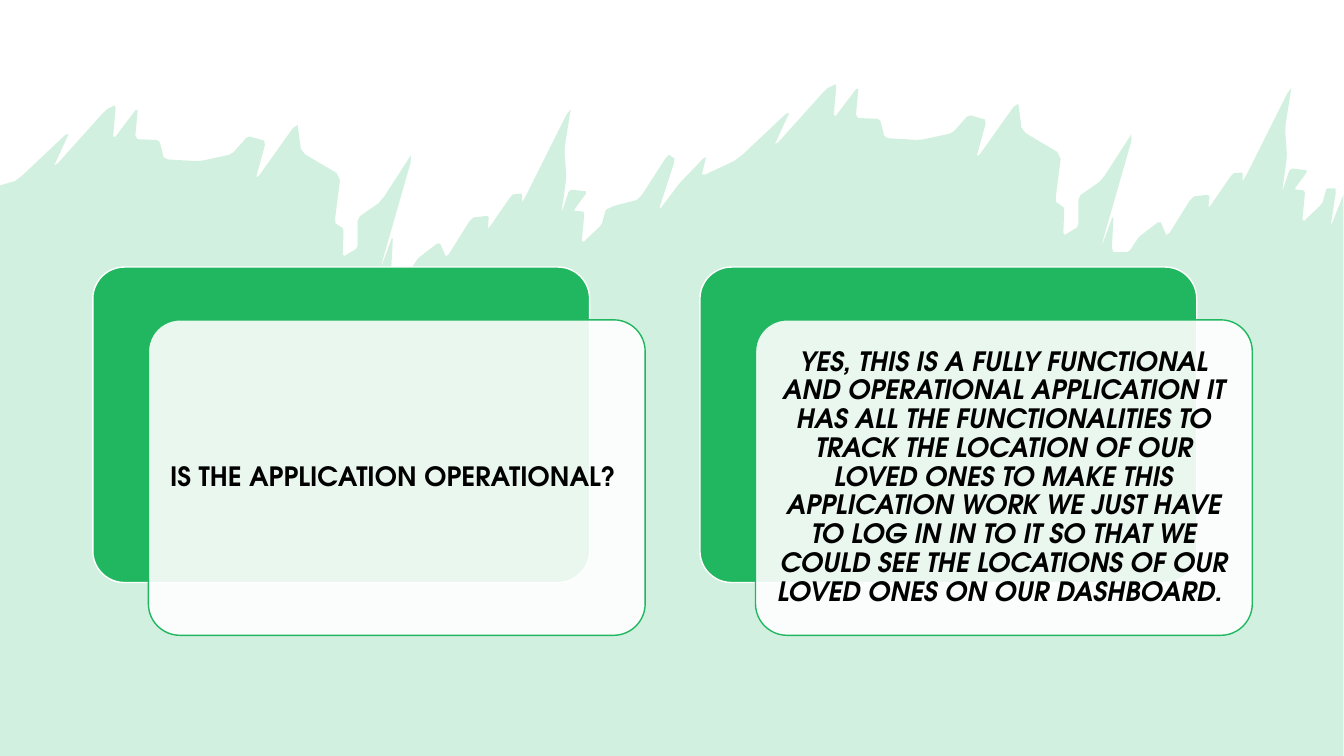
from lxml import etree
from pptx import Presentation
from pptx.dml.color import RGBColor
from pptx.enum.shapes import MSO_SHAPE as Shape
from pptx.enum.text import MSO_ANCHOR as Anchor, PP_ALIGN as Align
from pptx.oxml.ns import qn
from pptx.util import Cm, Pt

GREEN = RGBColor(0x21, 0xB7, 0x60)
WHITE = RGBColor(0xFF, 0xFF, 0xFF)
BLACK = RGBColor(0x00, 0x00, 0x00)
INCH = Cm(2.54)

# Corners of the torn edge, in inches
SPLASH = [
    (7.32, 1.58), (7.85, 1.08), (7.67, 1.47), (8.2, 0.88), (8.3, 0.83),
    (8.27, 1.18), (8.52, 0.85), (8.49, 1.17), (8.73, 1.18), (8.78, 1.37),
    (9.13, 1.39), (9.45, 1.32), (9.61, 1.14), (9.79, 1.19), (9.68, 1.59),
    (10.1, 1.0), (10.14, 1.3), (10.53, 1.53), (10.47, 2.0), (10.56, 2.06),
    (10.55, 2.34), (10.7, 2.25), (10.7, 1.95), (10.93, 1.79), (11.26, 1.28),
    (10.91, 2.5), (11.05, 2.12), (11.03, 2.5), (11.2, 2.5), (11.3, 2.35),
    (11.51, 2.19), (11.58, 2.35), (11.83, 1.95), (12.0, 1.93), (11.99, 2.07),
    (12.23, 1.72), (12.33, 1.71), (12.33, 1.81), (12.82, 0.83), (12.75, 1.27),
    (12.77, 1.55), (12.72, 1.91), (12.8, 1.67), (12.98, 1.69), (12.84, 1.88),
    (12.95, 1.89), (12.92, 2.21), (13.12, 2.02), (13.16, 1.87),
]
MIDDLE = [
    (6.1, 2.04), (6.34, 1.98), (6.63, 1.53), (6.7, 1.58), (6.53, 2.1),
    (6.74, 1.82), (7.01, 1.54), (6.96, 1.75),
]
RIGHT_END = [(13.26, 1.87), (13.2, 2.26), (13.33, 1.93)]
SHIFT_X, SHIFT_Y = -7.15, 0.21
CORNER_CUT = 0.1

CARDS = [
    ("IS THE APPLICATION OPERATIONAL? ", False),
    ("YES, THIS IS A FULLY FUNCTIONAL AND OPERATIONAL APPLICATION IT HAS ALL THE "
     "FUNCTIONALITIES TO TRACK THE LOCATION OF OUR LOVED ONES TO MAKE THIS "
     "APPLICATION WORK WE JUST HAVE TO LOG IN IN TO IT SO THAT WE COULD SEE THE "
     "LOCATIONS OF OUR LOVED ONES ON OUR DASHBOARD. ", True),
]
CARD_LEFT, CARD_TOP = 2.34, 6.73
CARD_WIDTH, CARD_HEIGHT = 12.52, 7.95
CARD_PITCH = 15.3
FRONT_RIGHT, FRONT_DOWN = 1.4, 1.33


def paint(shape, color, opacity=100):
    """Fill a shape with one colour at the given opacity in percent."""
    shape.shadow.inherit = False
    shape.fill.solid()
    shape.fill.fore_color.rgb = color
    if opacity < 100:
        color_element = shape._element.spPr.find(qn("a:solidFill"))[0]
        etree.SubElement(color_element, qn("a:alpha"), val=str(opacity * 1000))


def add_card(left, top, color, line_color, opacity=100):
    card = slide.shapes.add_shape(Shape.ROUNDED_RECTANGLE, Cm(left), Cm(top),
                                  Cm(CARD_WIDTH), Cm(CARD_HEIGHT))
    card.adjustments[0] = 0.1
    paint(card, color, opacity)
    card.line.color.rgb = line_color
    card.line.width = Pt(1)
    return card


presentation = Presentation()
presentation.slide_width, presentation.slide_height = Cm(33.87), Cm(19.05)
slide = presentation.slides.add_slide(presentation.slide_layouts[6])
slide.background.fill.solid()
slide.background.fill.fore_color.rgb = WHITE

# Torn green backdrop: the splash appears twice, with slightly rounded corners
left_splash = [(x + SHIFT_X, y + SHIFT_Y) for x, y in SPLASH]
edge = [(0, 1.84)] + left_splash + MIDDLE + SPLASH + RIGHT_END
outline = [(0, 7.5), edge[0]]
for (x1, y1), (x2, y2) in zip(edge, edge[1:]):
    for share in (CORNER_CUT, 1 - CORNER_CUT):
        outline.append((x1 + share * (x2 - x1), y1 + share * (y2 - y1)))
outline += [edge[-1], (13.33, 7.5)]
points = [(x * INCH, y * INCH) for x, y in outline]
builder = slide.shapes.build_freeform(*points[0])
builder.add_line_segments(points[1:], close=True)
backdrop = builder.convert_to_shape()
paint(backdrop, GREEN, 20)
backdrop.line.fill.background()

# Question and answer cards
for index, (text, italic) in enumerate(CARDS):
    left = CARD_LEFT + index * CARD_PITCH
    add_card(left, CARD_TOP, GREEN, WHITE)
    front = add_card(left + FRONT_RIGHT, CARD_TOP + FRONT_DOWN, WHITE, GREEN, 90)
    frame = front.text_frame
    frame.word_wrap = True
    frame.vertical_anchor = Anchor.MIDDLE
    for side in ("left", "top", "right", "bottom"):
        setattr(frame, f"margin_{side}", Cm(0.2))
    paragraph = frame.paragraphs[0]
    paragraph.alignment = Align.CENTER
    paragraph.line_spacing = 0.9
    run = paragraph.add_run()
    run.text = text
    font_format = {"name": "TeX Gyre Adventor", "size": Pt(19), "bold": True, "italic": italic}
    for name, value in font_format.items():
        setattr(run.font, name, value)
    run.font.color.rgb = BLACK

presentation.save("out.pptx")
